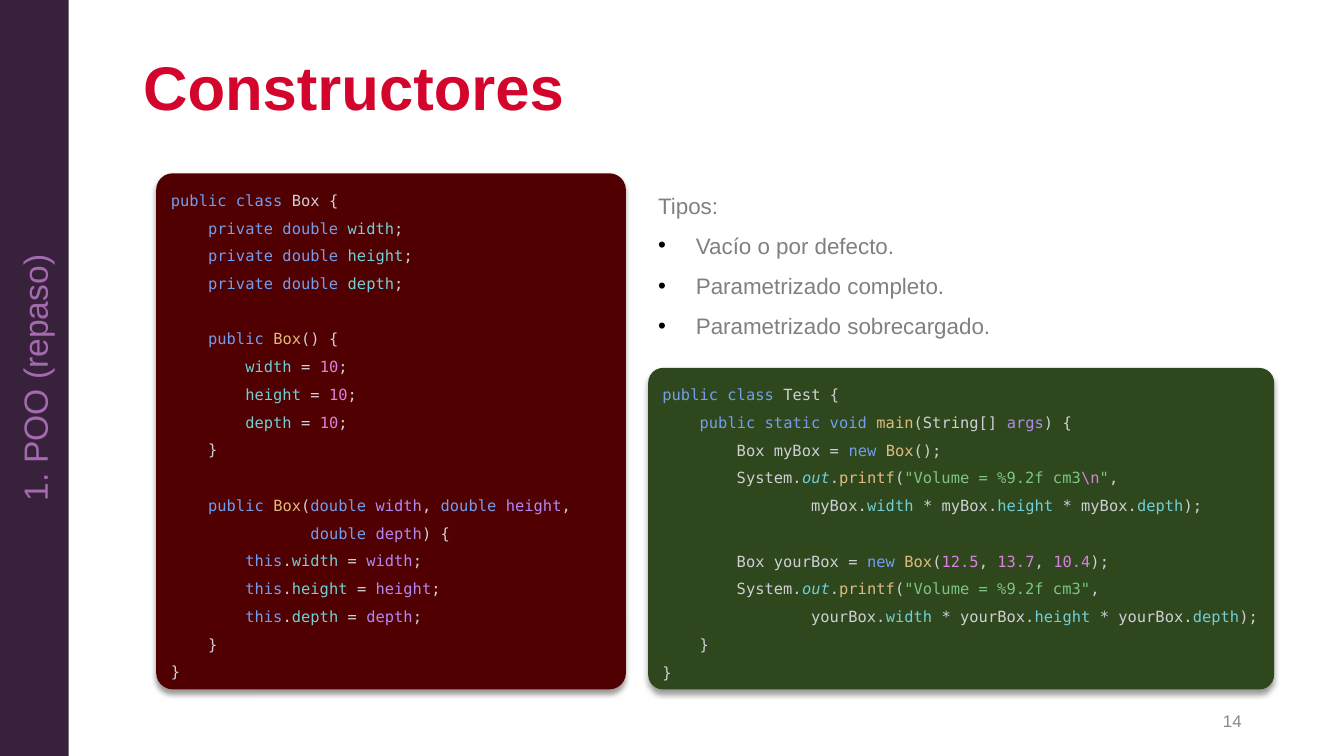
from copy import deepcopy

from lxml.etree import SubElement
from pptx import Presentation
from pptx.dml.color import RGBColor
from pptx.enum.shapes import MSO_SHAPE as Shape
from pptx.enum.text import MSO_ANCHOR as Anchor, MSO_AUTO_SIZE as AutoSize, PP_ALIGN as Align
from pptx.oxml.ns import qn
from pptx.util import Pt

COLORS = {
    "title": "D3052C", "number": "888888", "body": "808080", "bullet": "000000",
    "section": "38213B", "section_text": "A36AAE",
    "box": "500000", "test": "2E471D", "shadow": "000000",
}
SYNTAX = {
    "plain": "CED0D6", "k": "749DED", "f": "72CFD6", "m": "DEBC7E",
    "n": "D981DE", "a": "B189F5", "s": "7EC482", "i": "72CFD6",
}

BOX_CODE = [
    [
        "k:public class |Box {",
        "    |k:private double |f:width|;",
        "    |k:private double |f:height|;",
        "    |k:private double |f:depth|;",
        "",
        "    |k:public |m:Box|() {",
        "        |f:width |= |n:10|;",
        "        |f:height |= |n:10|;",
        "        |f:depth |= |n:10|;",
        "    }",
        "",
        "    |k:public |m:Box|(|k:double |a:width|, |k:double |a:height|,",
    ],
    [
        "               |k:double |a:depth|) {",
        "        |k:this|.|f:width |= |a:width|;",
        "        |k:this|.|f:height |= |a:height|;",
        "        |k:this|.|f:depth |= |a:depth|;",
        "    }",
        "}",
    ],
]
TEST_CODE = [
    [
        "k:public class |Test {",
        "    |k:public static void |m:main|(String[] |a:args|) {",
        "        Box myBox = |k:new |m:Box|();",
        '        System.|i:out|.|m:printf|(|s:"Volume = %9.2f cm3|n:\\n|s:"|,',
        "                myBox.|f:width |* myBox.|f:height |* myBox.|f:depth|);",
        "",
        "        Box yourBox = |k:new |m:Box|(|n:12.5|, |n:13.7|, |n:10.4|);",
        '        System.|i:out|.|m:printf|(|s:"Volume = %9.2f cm3"|,',
        "                yourBox.|f:width |* yourBox.|f:height |* yourBox.|f:depth|);",
        "    }",
        "}",
    ],
]


def style(run, size, color, font="Arial"):
    run.font.size = Pt(size)
    run.font.name = font
    run.font.color.rgb = RGBColor.from_string(color)


def add_panel(preset, left, top, width, height, color):
    panel = slide.shapes.add_shape(preset, Pt(left), Pt(top), Pt(width), Pt(height))
    panel.shadow.inherit = False
    panel.fill.solid()
    panel.fill.fore_color.rgb = RGBColor.from_string(color)
    panel.line.fill.background()
    panel.text_frame.vertical_anchor = Anchor.MIDDLE
    return panel


prs = Presentation()
prs.slide_width, prs.slide_height = Pt(960), Pt(540)
slide = prs.slides.add_slide(prs.slide_layouts[5])

title = slide.shapes.title
title.left, title.top, title.width, title.height = Pt(95), Pt(34), Pt(799), Pt(62)
title.text_frame.text = "Constructores"
title.text_frame.vertical_anchor = Anchor.MIDDLE
heading = title.text_frame.paragraphs[0]
heading.alignment = Align.LEFT
heading.line_spacing = 0.9
style(heading.runs[0], 44, COLORS["title"])
heading.runs[0].font.bold = True

page_number = slide.shapes.add_textbox(Pt(678), Pt(500.4), Pt(216), Pt(29)).text_frame
page_number.text = "14"
page_number.word_wrap = True
page_number.vertical_anchor = Anchor.MIDDLE
page_number.paragraphs[0].alignment = Align.RIGHT
style(page_number.paragraphs[0].runs[0], 12, COLORS["number"])

section = add_panel(Shape.RECTANGLE, 0, 0, 49, 540, COLORS["section"]).text_frame
section.text = "1. POO (repaso)"
section._txBody.bodyPr.set("vert", "vert270")
section.paragraphs[0].alignment = Align.CENTER
style(section.paragraphs[0].runs[0], 24, COLORS["section_text"])

for code, left, top, width, height, color, rounding, wrap in [
    (BOX_CODE, 111.6, 123.8, 335.5, 368.6, "box", 0.035, True),
    (TEST_CODE, 463, 262.8, 447.1, 229.7, "test", 0.046, False),
]:
    panel = add_panel(Shape.ROUNDED_RECTANGLE, left, top, width, height, COLORS[color])
    panel.adjustments[0] = rounding
    effects = panel._element.spPr.find(qn("a:effectLst"))
    shadow = SubElement(effects, qn("a:outerShdw"), blurRad=str(Pt(4)), dist=str(Pt(3)),
                        dir="5400000", algn="t", rotWithShape="0")
    shade = SubElement(shadow, qn("a:srgbClr"), val=COLORS["shadow"])
    SubElement(shade, qn("a:alpha"), val="40000")

    listing = panel.text_frame
    listing.word_wrap = wrap
    listing.auto_size = AutoSize.SHAPE_TO_FIT_TEXT
    for block_index, block in enumerate(code):
        paragraph = listing.add_paragraph() if block_index else listing.paragraphs[0]
        paragraph.alignment = Align.LEFT
        paragraph.line_spacing = 1.5
        for line_index, line in enumerate(block):
            if line_index:
                paragraph.add_line_break()
            for token in filter(None, line.split("|")):
                kind, text = (token[0], token[2:]) if token[1:2] == ":" else ("plain", token)
                run = paragraph.add_run()
                run.text = text
                style(run, 11, SYNTAX[kind], "DejaVu Sans Mono")
                if kind == "i":
                    run.font.italic = True
        for line_break in paragraph._p.findall(qn("a:br")):
            line_break.append(deepcopy(paragraph.runs[0]._r.rPr))

types = slide.shapes.add_textbox(Pt(463), Pt(123.8), Pt(431.3), Pt(120.2)).text_frame
types.text = "Tipos:\nVacío o por defecto.\nParametrizado completo.\nParametrizado sobrecargado."
types.word_wrap = True
types.auto_size = AutoSize.SHAPE_TO_FIT_TEXT
for index, paragraph in enumerate(types.paragraphs):
    paragraph.line_spacing = 1.5
    style(paragraph.runs[0], 16, COLORS["body"])
    if index:
        properties = paragraph._p.get_or_add_pPr()
        properties.set("marL", str(Pt(27)))
        properties.set("indent", str(-Pt(27)))
        bullet_color = SubElement(properties, qn("a:buClr"))
        SubElement(bullet_color, qn("a:srgbClr"), val=COLORS["bullet"])
        SubElement(properties, qn("a:buFont"), typeface="Arial")
        SubElement(properties, qn("a:buChar"), char="•")

prs.save("out.pptx")
